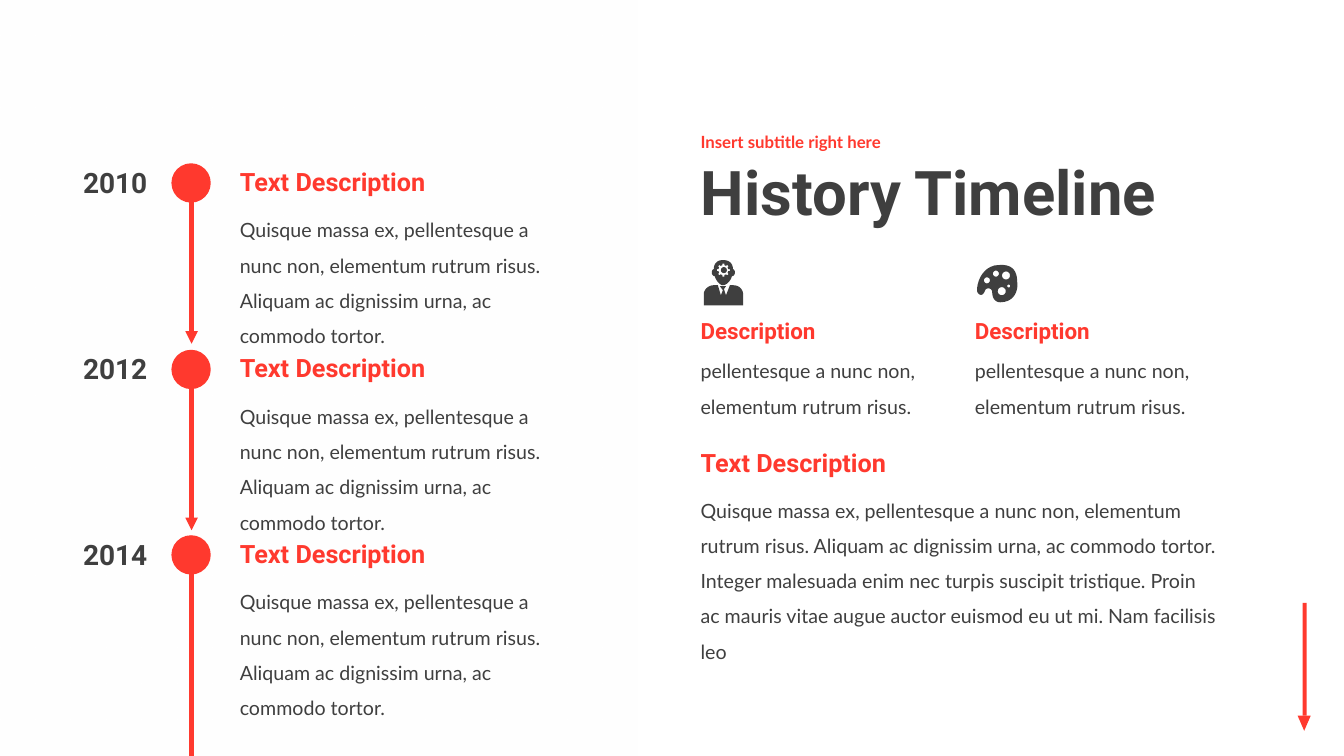
from math import cos, pi, sin

from lxml.etree import SubElement
from pptx import Presentation
from pptx.dml.color import RGBColor
from pptx.enum.shapes import MSO_CONNECTOR, MSO_SHAPE
from pptx.enum.text import MSO_ANCHOR, MSO_AUTO_SIZE, PP_ALIGN
from pptx.oxml.ns import qn
from pptx.util import Pt

PX = 9144  # 100 px to the inch


class Theme:
    red = RGBColor.from_string("FF392E")
    dark = RGBColor.from_string("3F3F3F")
    white = RGBColor.from_string("FFFFFF")
    heading_font = "Roboto"
    body_font = "Lato"
    title = Pt(44)
    year = Pt(20)
    heading = Pt(18)
    small_heading = Pt(16)
    body = Pt(14)
    subtitle = Pt(12)
    line = Pt(3)


presentation = Presentation()
presentation.slide_width = 1333 * PX
presentation.slide_height = 750 * PX
slide = presentation.slides.add_slide(presentation.slide_layouts[5])
shapes = slide.shapes


def add_text(text, left, top, width, height, size, color, font=Theme.heading_font,
             bold=True, spacing=None, align=PP_ALIGN.LEFT, box=None):
    """Fill a given placeholder, or a new text box, with one paragraph."""
    is_new = box is None
    if is_new:
        box = shapes.add_textbox(0, 0, 0, 0)
    box.left, box.top, box.width, box.height = (n * PX for n in (left, top, width, height))
    frame = box.text_frame
    frame.text = text
    frame.word_wrap = True
    frame.auto_size = MSO_AUTO_SIZE.SHAPE_TO_FIT_TEXT if is_new else MSO_AUTO_SIZE.NONE
    paragraph = frame.paragraphs[0]
    paragraph.alignment = align
    if spacing:
        paragraph.line_spacing = spacing
    paragraph.font.name = font
    paragraph.font.size = size
    paragraph.font.bold = bold
    paragraph.font.color.rgb = color
    return box


def add_icon(contours):
    """Draw contours whose steps are points (2 numbers) or cubic curves (6 numbers)."""
    builder = None
    for start, *steps in contours:
        points = [start]
        for step in steps:
            if len(step) == 2:
                points.append(step)
                continue
            (x0, y0), (x1, y1, x2, y2, x3, y3) = points[-1], step
            for t in (n / 10 for n in range(1, 11)):
                u = 1 - t
                weights = (u ** 3, 3 * u * u * t, 3 * u * t * t, t ** 3)
                points.append((sum(w * x for w, x in zip(weights, (x0, x1, x2, x3))),
                               sum(w * y for w, y in zip(weights, (y0, y1, y2, y3)))))
        points = [(x * PX, y * PX) for x, y in points]
        if builder is None:
            builder = shapes.build_freeform(*points[0])
        else:
            builder.move_to(*points[0])
        builder.add_line_segments(points[1:], close=True)
    icon = builder.convert_to_shape()
    icon.shadow.inherit = False
    icon.fill.solid()
    icon.fill.fore_color.rgb = Theme.dark
    icon.line.fill.background()
    return icon


# Left panel
panel = shapes.add_shape(MSO_SHAPE.RECTANGLE, 0, 0, 632 * PX, 750 * PX)
panel.shadow.inherit = False
panel.line.fill.background()
panel.fill.gradient()
panel.fill.gradient_angle = 270
for stop in panel.fill.gradient_stops:
    stop.color.rgb = Theme.white
first_color = next(panel.element.iter(qn("a:srgbClr")))
SubElement(first_color, qn("a:alpha")).set("val", "80000")

# Title and subtitle
title = add_text("History Timeline", 685, 142, 750, 103, Theme.title, Theme.dark,
                 spacing=0.9, box=shapes.title)
subtitle = add_text("Insert subtitle right here", 685, 123, 750, 38, Theme.subtitle,
                    Theme.red, font=Theme.body_font, spacing=0.9)
subtitle.text_frame.auto_size = MSO_AUTO_SIZE.NONE
for box in (title, subtitle):
    box.text_frame.vertical_anchor = MSO_ANCHOR.MIDDLE

# Main description
add_text("Quisque massa ex, pellentesque a nunc non, elementum rutrum risus. Aliquam ac "
         "dignissim urna, ac commodo tortor. Integer malesuada enim nec turpis suscipit "
         "tristique. Proin ac mauris vitae augue auctor euismod eu ut mi. Nam facilisis leo",
         685, 478, 533, 148, Theme.body, Theme.dark, Theme.body_font, False, 1.5)
add_text("Text Description", 685, 439, 292, 40, Theme.heading, Theme.red)

# Two short descriptions
for left in (685, 957):
    add_text("pellentesque a nunc non, elementum rutrum risus.", left, 340, 253, 77,
             Theme.body, Theme.dark, Theme.body_font, False, 1.5)
    add_text("Description", left, 310, 200, 37, Theme.small_heading, Theme.red)

# Person icon: suit, then head with a gear
add_icon([[(727, 283), (724, 283), (720, 293), (718, 287), (720, 284),
           (719, 284, 715, 284, 714, 284), (717, 288), (715, 293), (712, 283), (708, 283),
           (703, 283, 698, 287, 698, 292), (698, 303), (737, 303), (737, 292),
           (737, 287, 733, 283, 727, 283)]])
head = [(727, 267), (727, 261, 723, 258, 717, 258), (712, 258, 708, 261, 708, 267),
        (707, 267, 706, 269, 706, 270), (706, 272, 707, 274, 709, 274),
        (710, 278, 714, 283, 717, 283), (721, 283, 725, 278, 726, 274),
        (728, 274, 729, 272, 729, 270), (729, 269, 728, 267, 727, 267)]
gear = []
for tooth in range(8):
    for offset, radius in ((-0.28, 5), (-0.2, 6.5), (0.2, 6.5), (0.28, 5)):
        angle = (tooth + offset) * pi / 4
        gear.append((717.5 + radius * cos(angle), 268 + radius * sin(angle)))
add_icon([head, gear])
hub = shapes.add_shape(MSO_SHAPE.OVAL, 715 * PX, 265 * PX, 6 * PX, 6 * PX)

# Palette icon with paint holes
palette = [[(991, 263), (976, 263, 969, 278, 969, 288), (969, 291, 974, 296, 977, 288),
            (978, 285, 984, 285, 984, 290), (984, 296, 987, 300, 992, 300),
            (1007, 300, 1010, 287, 1009, 280), (1009, 272, 1007, 262, 991, 263)]]
for x, y, radius in ((979, 278, 3), (988, 271.5, 3), (993.5, 289, 4),
                     (1000.5, 284, 1.5), (998, 273.5, 4)):
    palette.append([(x + radius * cos(n * pi / 12), y + radius * sin(n * pi / 12))
                    for n in range(24)])
add_icon(palette).rotation = 359

# Arrow at the right edge
shaft = shapes.add_shape(MSO_SHAPE.RECTANGLE, 1292 * PX, 598 * PX, 4 * PX, 112 * PX)
arrowhead = shapes.add_shape(MSO_SHAPE.ISOSCELES_TRIANGLE,
                             1287 * PX, 710 * PX, 13 * PX, 15 * PX)
arrowhead.rotation = 180
solid_shapes = [(hub, Theme.dark), (shaft, Theme.red), (arrowhead, Theme.red)]

# Timeline
for year, top, arrow_end in (("2010", 162, 341), ("2012", 347, 526), ("2014", 531, 783)):
    dot = shapes.add_shape(MSO_SHAPE.OVAL, 170 * PX, top * PX, 39 * PX, 39 * PX)
    solid_shapes.append((dot, Theme.red))
    arrow = shapes.add_connector(MSO_CONNECTOR.STRAIGHT, 190 * PX, (top + 38) * PX,
                                 190 * PX, arrow_end * PX)
    arrow.line.color.rgb = Theme.red
    arrow.line.width = Theme.line
    SubElement(arrow.line._get_or_add_ln(), qn("a:tailEnd")).set("type", "triangle")
    SubElement(arrow.element.spPr, qn("a:effectLst"))
    add_text(year, 57, top - 3, 99, 44, Theme.year, Theme.dark, align=PP_ALIGN.RIGHT)
    add_text("Quisque massa ex, pellentesque a nunc non, elementum rutrum risus. "
             "Aliquam ac dignissim urna, ac commodo tortor.", 228, top + 38, 347, 112,
             Theme.body, Theme.dark, Theme.body_font, False, 1.5)
    add_text("Text Description", 228, top - 2, 292, 40, Theme.heading, Theme.red)

# Plain fill for the preset shapes
for shape, color in solid_shapes:
    shape.shadow.inherit = False
    shape.fill.solid()
    shape.fill.fore_color.rgb = color
    shape.line.fill.background()

presentation.save("out.pptx")
